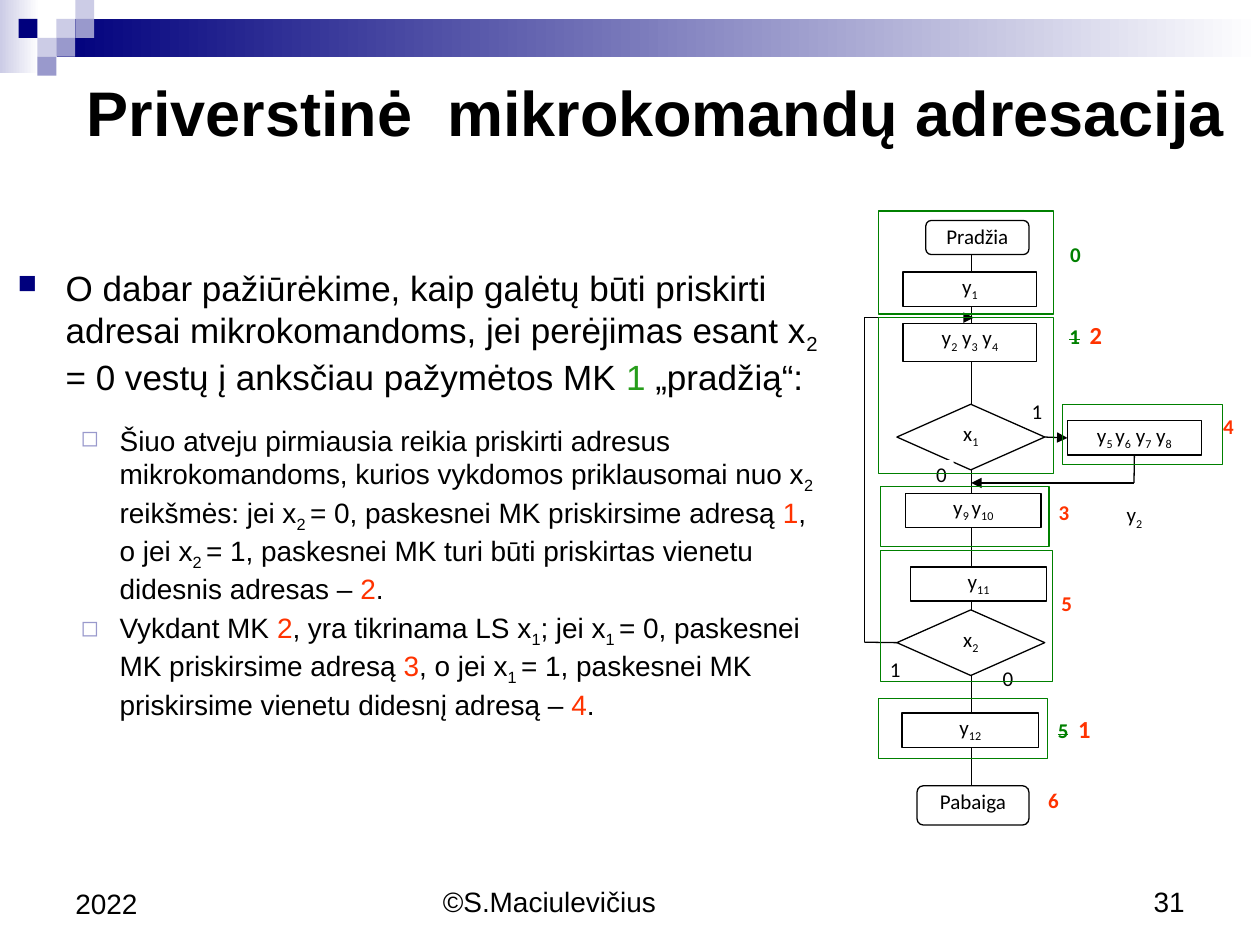
"""Slide on forced addressing of microcommands, with a flowchart."""
from lxml import etree
from pptx import Presentation
from pptx.dml.color import RGBColor
from pptx.enum import shapes as sh, text as tx
from pptx.oxml import ns
from pptx.util import Pt

BLACK, WHITE = RGBColor(0, 0, 0), RGBColor(255, 255, 255)
NAVY, PALE, LILAC = RGBColor(0, 0, 0x7D), RGBColor(0xCC, 0xCC, 0xE6), RGBColor(0x99, 0x99, 0xCC)
RED, GREEN, LEAF = RGBColor(0xFF, 0x33, 0), RGBColor(0, 0x80, 0), RGBColor(0x27, 0x9D, 0x1B)
KIND = sh.MSO_SHAPE
RECT, ROUND, RHOMB = KIND.RECTANGLE, KIND.ROUNDED_RECTANGLE, KIND.DIAMOND
LEFT, MID, RIGHT = tx.PP_ALIGN.LEFT, tx.PP_ALIGN.CENTER, tx.PP_ALIGN.RIGHT
TOP, CORE, LOW = tx.MSO_ANCHOR.TOP, tx.MSO_ANCHOR.MIDDLE, tx.MSO_ANCHOR.BOTTOM
TIGHT, SIDE, WIDE, FLAT = (1.5, 0.7, 1.5, 0.7), (7.2, 0.7, 1.5, 0.7), (7.2, 3.6, 7.2, 3.6), (3, 0, 3, 0)

STYLE = {
    "": {},
    "sub": {"baseline": "-25000"},
    "red": {"rgb": RED},
    "leaf": {"rgb": LEAF},
    "big": {"rgb": RED, "size": 14},
    "old": {"strike": "sngStrike"},
}

BANDS = [((0, 0, 22.5, 42), PALE), ((32.5, 11, 687.5, 21.5), NAVY)]
TILES = [(3, 1, PALE), (4, 0, PALE), (4, 1, LILAC), (2, 2, PALE),
         (1, 1, NAVY), (3, 2, LILAC), (2, 3, LILAC)]
FOOT = [((246, 492, 228, 36), "©S.Maciulevičius", LEFT),
        ((516, 492, 168, 36), "31", RIGHT),
        ((36, 492, 168, 37.5), "2022", LEFT)]
TITLE = "Priverstinė  mikrokomandų adresacija"

MAIN = {"size": 20, "left": 27.4, "hang": 27.4, "before": 4, "mark": ("■", NAVY, 75)}
ITEM = {"size": 16, "left": 58.3, "hang": 22.3, "before": 3.2, "mark": ("◻", LILAC, 80)}
BODY = [
    (MAIN, ["O dabar pažiūrėkime, kaip galėtų būti priskirti adresai mikrokomandoms, "
            "jei perėjimas esant x", ("2 ", "sub"), "= 0 vestų į anksčiau pažymėtos MK ",
            ("1 ", "leaf"), "„pradžią“:"]),
    ({**ITEM, "before": 14.5},
     ["Šiuo atveju pirmiausia reikia priskirti adresus mikrokomandoms, kurios vykdomos "
      "priklausomai nuo x", ("2 ", "sub"), "reikšmės: jei x", ("2 ", "sub"),
      "= 0, paskesnei MK priskirsime adresą ", ("1", "red"), ", o jei x", ("2 ", "sub"),
      "= 1, paskesnei MK turi būti priskirtas vienetu didesnis adresas – ", ("2", "red"), "."]),
    (ITEM, ["Vykdant MK ", ("2", "red"), ", yra tikrinama LS x", ("1", "sub"), "; jei x",
            ("1 ", "sub"), "= 0, paskesnei MK priskirsime adresą ", ("3", "red"), ", o jei x",
            ("1 ", "sub"), "= 1, paskesnei MK priskirsime vienetu didesnį adresą – ",
            ("4", "red"), "."]),
]

SPINE = (555, 133, 555, 449.5)
NODES = {
    "start": (ROUND, (529, 126, 59, 19.5), ["Pradžia"]),
    "y1": (RECT, (516, 155.5, 76.5, 19.5), ["y", ("1", "sub")]),
    "y2": (RECT, (516, 185, 76.5, 21.5), ["y", ("2", "sub"), " y", ("3", "sub"), " y", ("4", "sub")]),
    "x1": (RHOMB, (512.5, 231, 84.5, 37.5), ["x", ("1", "sub")]),
    "y5": (RECT, (610, 240.5, 76.5, 19.5), ["y", ("5 ", "sub"), "y", ("6", "sub"), " y",
                                          ("7", "sub"), " y", ("8", "sub")]),
    "y9": (RECT, (517.5, 282, 77.5, 19.5), ["y", ("9 ", "sub"), "y", ("10", "sub")]),
    "y11": (RECT, (520.5, 324, 77.5, 19.5), ["y", ("11", "sub")]),
    "x2": (RHOMB, (512.5, 348.5, 84.5, 37.5), ["x", ("2", "sub")]),
    "y12": (RECT, (515.5, 407.5, 78, 19.5), ["y", ("12", "sub")]),
    "end": (ROUND, (524, 449, 64, 22.5), ["Pabaiga"]),
}
EXTRA = ({"before": 29.3}, ["y", ("2", "sub")])
LINKS = [
    ((512.5, 367, 494, 367), False, ("x2", 1), None),
    ((494, 367, 494, 181.5), False, None, None),
    ((494, 181.5, 556.5, 181.5), True, None, None),
    ((648, 260, 648, 276), False, ("y5", 2), None),
    ((648, 276, 555, 276), True, None, None),
    ((597, 250, 610, 250), True, ("x1", 3), ("y5", 1)),
]
EXITS = [(533.5, 263, "0"), (588, 227, "1"), (571.5, 379.5, "0"), (507, 374.5, "1")]
FRAMES = [(502, 120.5, 100, 59), (502, 181.5, 100, 89), (607, 231, 91.5, 34.5),
          (503, 278, 96.5, 34.5), (503, 314.5, 98.5, 75), (502, 399, 96.5, 34.5)]
CODES = [((610, 137.5), "0", GREEN), ((603.5, 285), "3", RED), ((697.5, 235.5), "4", RED),
         ((605, 337), "5", RED), ((597.5, 449.5), "6", RED)]
MOVES = [((604, 182), "1", "2"), ((597.5, 407.5), "5", "1")]

deck = Presentation()
deck.slide_width, deck.slide_height = Pt(720), Pt(540)
page = deck.slides.add_slide(deck.slide_layouts[6]).shapes


def sub(top, tag, **vals):
    return etree.SubElement(top, ns.qn("a:" + tag), **vals)


def write(par, runs, font, size, rgb, bold):
    for item in runs:
        word, key = (item, "") if isinstance(item, str) else item
        run = par.add_run()
        run.text = word
        look = {"name": font, "size": size, "rgb": rgb, "bold": bold, **STYLE[key]}
        run.font.color.rgb = look.pop("rgb")
        look["size"] = Pt(look["size"])
        for name, val in look.items():
            if name in ("baseline", "strike"):
                run._r.get_or_add_rPr().set(name, val)
            else:
                setattr(run.font, name, val)


def fill_text(shape, pars, font="Calibri", size=12, rgb=BLACK, bold=False,
              align=LEFT, pad=TIGHT, anchor=TOP):
    frame = shape.text_frame
    sides = zip(("left", "top", "right", "bottom"), pad)
    form = {"word_wrap": True, "vertical_anchor": anchor,
            **{"margin_" + side: Pt(gap) for side, gap in sides}}
    for name, val in form.items():
        setattr(frame, name, val)
    for num, (fmt, runs) in enumerate(pars):
        par = frame.add_paragraph() if num else frame.paragraphs[0]
        par.alignment = align
        par.space_before = Pt(fmt.get("before", 0))
        if "lead" in fmt:
            par.line_spacing = Pt(fmt["lead"])
        if "mark" in fmt:
            char, tint, pct = fmt["mark"]
            prop = par._p.get_or_add_pPr()
            prop.set("marL", str(Pt(fmt["left"])))
            prop.set("indent", str(-Pt(fmt["hang"])))
            sub(sub(prop, "buClr"), "srgbClr", val=str(tint))
            sub(prop, "buSzPct", val=str(pct * 1000))
            sub(prop, "buChar", char=char)
        write(par, runs, font, fmt.get("size", size), rgb, bold)


def draw(kind, box, fill=None, line=None):
    shape = page.add_shape(kind, *map(Pt, box))
    shape.shadow.inherit = False
    if fill is None:
        shape.fill.background()
    else:
        shape.fill.solid()
        shape.fill.fore_color.rgb = fill
    if line is None:
        shape.line.fill.background()
    else:
        shape.line.color.rgb = line
        shape.line.width = Pt(0.75)
    return shape


def note(box, pars, **form):
    fill_text(page.add_textbox(*map(Pt, box)), pars, **form)


def link(ends, arrow=False, head=None, tail=None):
    wire = page.add_connector(sh.MSO_CONNECTOR.STRAIGHT, *map(Pt, ends))
    wire.line.color.rgb = BLACK
    wire.line.width = Pt(0.75)
    if arrow:
        sub(wire.line._get_or_add_ln(), "tailEnd", type="triangle")
    sub(wire._element.spPr, "effectLst")
    if head:
        wire.begin_connect(nodes[head[0]], head[1])
    if tail:
        wire.end_connect(nodes[tail[0]], tail[1])


for box, tint in BANDS:
    fill = draw(RECT, box, tint).fill
    fill.gradient()
    fill.gradient_angle = 0
    for stop, rgb in zip(fill.gradient_stops, (tint, WHITE)):
        stop.color.rgb = rgb
for col, row, tint in TILES:
    draw(RECT, (10.8 * col - 0.2, 10.8 * row, 10.8, 10.8), tint)

for box, word, side in FOOT:
    note(box, [({}, [word])], font="Arial", size=16, align=side, pad=WIDE, anchor=LOW)
note((42.5, 31.5, 669, 67.5), [({"lead": 40}, [TITLE])], font="Arial", size=36,
     bold=True, pad=WIDE, anchor=CORE)
note((3, 148.5, 475, 337), BODY, font="Arial", pad=WIDE)

link(SPINE)
nodes = {}
for name, (kind, box, runs) in NODES.items():
    nodes[name] = draw(kind, box, WHITE, BLACK)
    pars = [({}, runs)] + ([EXTRA] if name == "y5" else [])
    fill_text(nodes[name], pars, align=MID, pad=FLAT if kind == RHOMB else TIGHT)
for row in LINKS:
    link(*row)
for left, top, word in EXITS:
    fill_text(draw(RECT, (left, top, 11.5, 17.5), WHITE), [({}, [word])])
for box in FRAMES:
    draw(RECT, box, line=GREEN)
for spot, word, tint in CODES:
    note((*spot, 13.5, 18), [({}, [word])], rgb=tint, bold=True)
for spot, old, new in MOVES:
    note((*spot, 35.5, 18), [({}, [(old, "old"), "  ", (new, "big")])],
         rgb=GREEN, bold=True, pad=SIDE)

deck.save("out.pptx")
